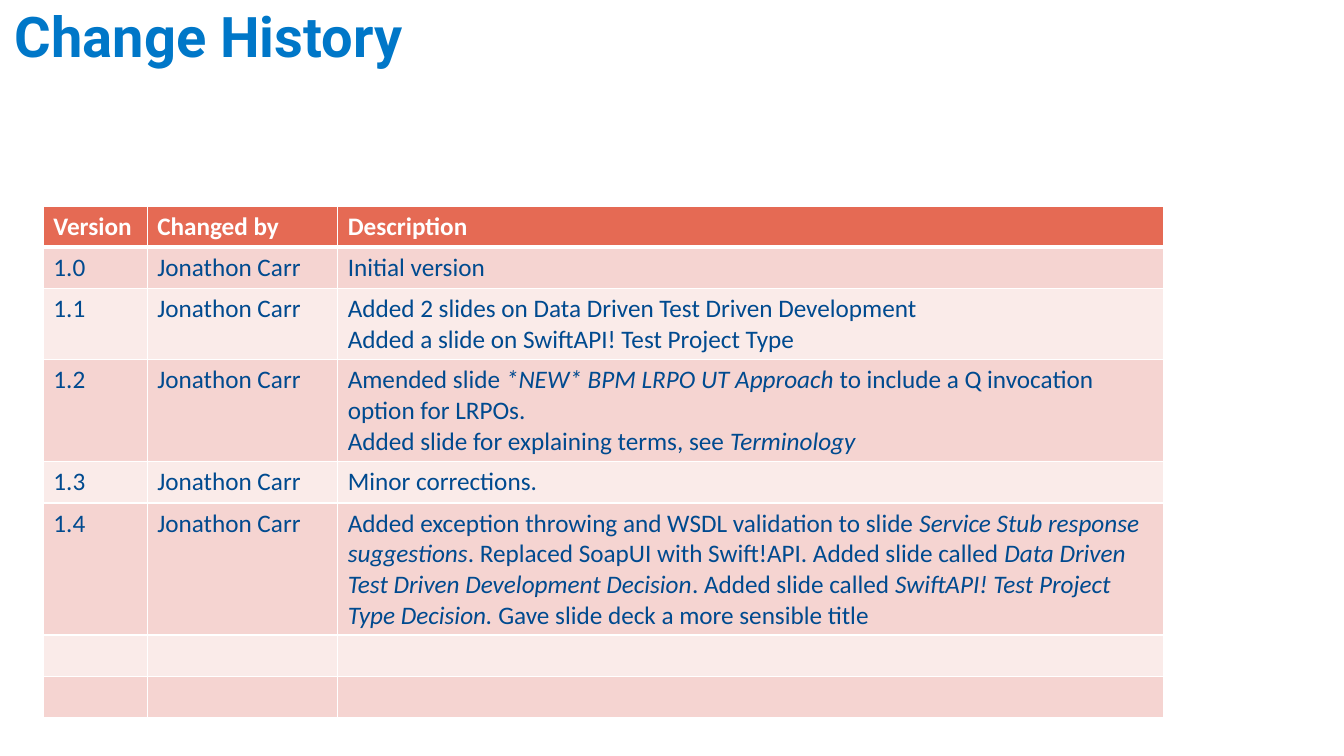
from lxml import etree
from pptx import Presentation
from pptx.dml.color import RGBColor
from pptx.enum.text import MSO_AUTO_SIZE
from pptx.oxml.ns import qn
from pptx.util import Inches, Pt

FIT = MSO_AUTO_SIZE.SHAPE_TO_FIT_TEXT
WHITE, BLUE, NAVY = "FFFFFF", "0077C8", "004A8F"
CORAL, BANDS = "E56A54", ("F5D4D1", "FAEBE9")
TITLE = {"name": "Roboto", "size": Pt(40), "bold": True}
HEAD = {"name": "Calibri", "size": Pt(18), "bold": True}
BODY = {**HEAD, "bold": False}

AUTHOR = "Jonathon Carr"
COLS = (1.03, 1.89, 8.19)
HEADER = ("Version", "Changed by", "Description")
# Each row: cells, lines shown. Underscores enclose italic words.
ROWS = (
    (("1.0", AUTHOR, "Initial version"), 1),
    (("1.1", AUTHOR, "Added 2 slides on Data Driven Test Driven Development\n"
      "Added a slide on SwiftAPI! Test Project Type"), 2),
    (("1.2", AUTHOR, "Amended slide _*NEW* BPM LRPO UT Approach_ to include "
      "a Q invocation option for LRPOs.\n"
      "Added slide for explaining terms, see _Terminology_"), 3),
    (("1.3", AUTHOR, "Minor corrections."), 1),
    (("1.4", AUTHOR, "Added exception throwing and WSDL validation to slide "
      "_Service Stub response suggestions_. Replaced SoapUI with Swift!API. "
      "Added slide called _Data Driven Test Driven Development Decision_. "
      "Added slide called _SwiftAPI! Test Project Type Decision. _"
      "Gave slide deck a more sensible title"), 4),
    (("", "", ""), 1),
    (("", "", ""), 1),
)


def rgb(code):
    return RGBColor.from_string(code)


class Deck:
    def __init__(self):
        self.prs = Presentation()
        self.prs.slide_width = Inches(13.33)
        self.prs.slide_height = Inches(7.5)
        self.slide = self.prs.slides.add_slide(self.prs.slide_layouts[6])

    def put(self, frame, text, style, color):
        """Fill a text frame, one paragraph a line, italics by underscore."""
        for num, line in enumerate(text.split("\n")):
            para = frame.add_paragraph() if num else frame.paragraphs[0]
            for part, words in enumerate(line.split("_")):
                if not words:
                    continue
                run = para.add_run()
                run.text = words
                for key, value in style.items():
                    setattr(run.font, key, value)
                run.font.italic = part % 2 == 1
                run.font.color.rgb = rgb(color)

    def text(self, box, text, style, color):
        frame = self.slide.shapes.add_textbox(*map(Inches, box)).text_frame
        frame.word_wrap = True
        frame.auto_size = FIT
        self.put(frame, text, style, color)

    def edge(self, cell, side, width):
        line = etree.SubElement(cell._tc.get_or_add_tcPr(),
                                qn("a:ln" + side), w=str(Pt(width)))
        fill = etree.SubElement(line, qn("a:solidFill"))
        etree.SubElement(fill, qn("a:srgbClr"), val=WHITE)

    def cell(self, cell, text, style, color, fill, top=1, base=1):
        for side, width in zip("LRTB", (1, 1, top, base)):
            self.edge(cell, side, width)
        cell.fill.solid()
        cell.fill.fore_color.rgb = rgb(fill)
        self.put(cell.text_frame, text, style, color)

    def table(self, left, top, cols, header, rows):
        highs = [0.39] + [0.11 + 0.3 * lines for _, lines in rows]
        box = (left, top, sum(cols), sum(highs))
        grid = self.slide.shapes.add_table(
            len(highs), len(cols), *map(Inches, box)).table
        for col, width in zip(grid.columns, cols):
            col.width = Inches(width)
        for row, high in zip(grid.rows, highs):
            row.height = Inches(high)
        for col, text in enumerate(header):
            self.cell(grid.cell(0, col), text, HEAD, WHITE, CORAL, base=3)
        for num, (texts, _) in enumerate(rows):
            for col, text in enumerate(texts):
                self.cell(grid.cell(num + 1, col), text, BODY, NAVY,
                          BANDS[num % 2], top=1 if num else 3)


def main():
    deck = Deck()
    deck.text((0.05, -0.03, 6.85, 0.77), "Change History", TITLE, BLUE)
    deck.table(0.43, 2.05, COLS, HEADER, ROWS)
    deck.prs.save("out.pptx")


if __name__ == "__main__":
    main()
